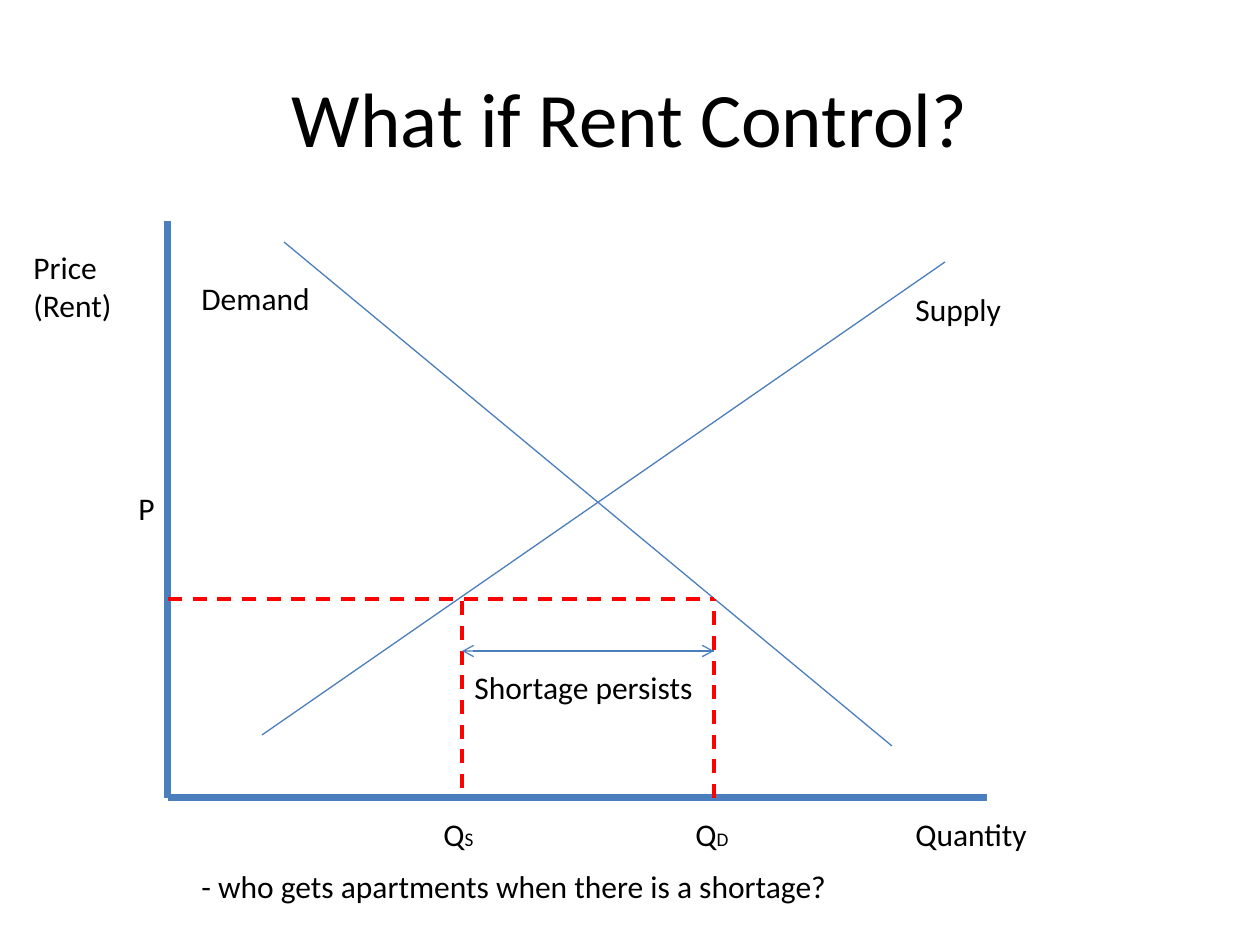
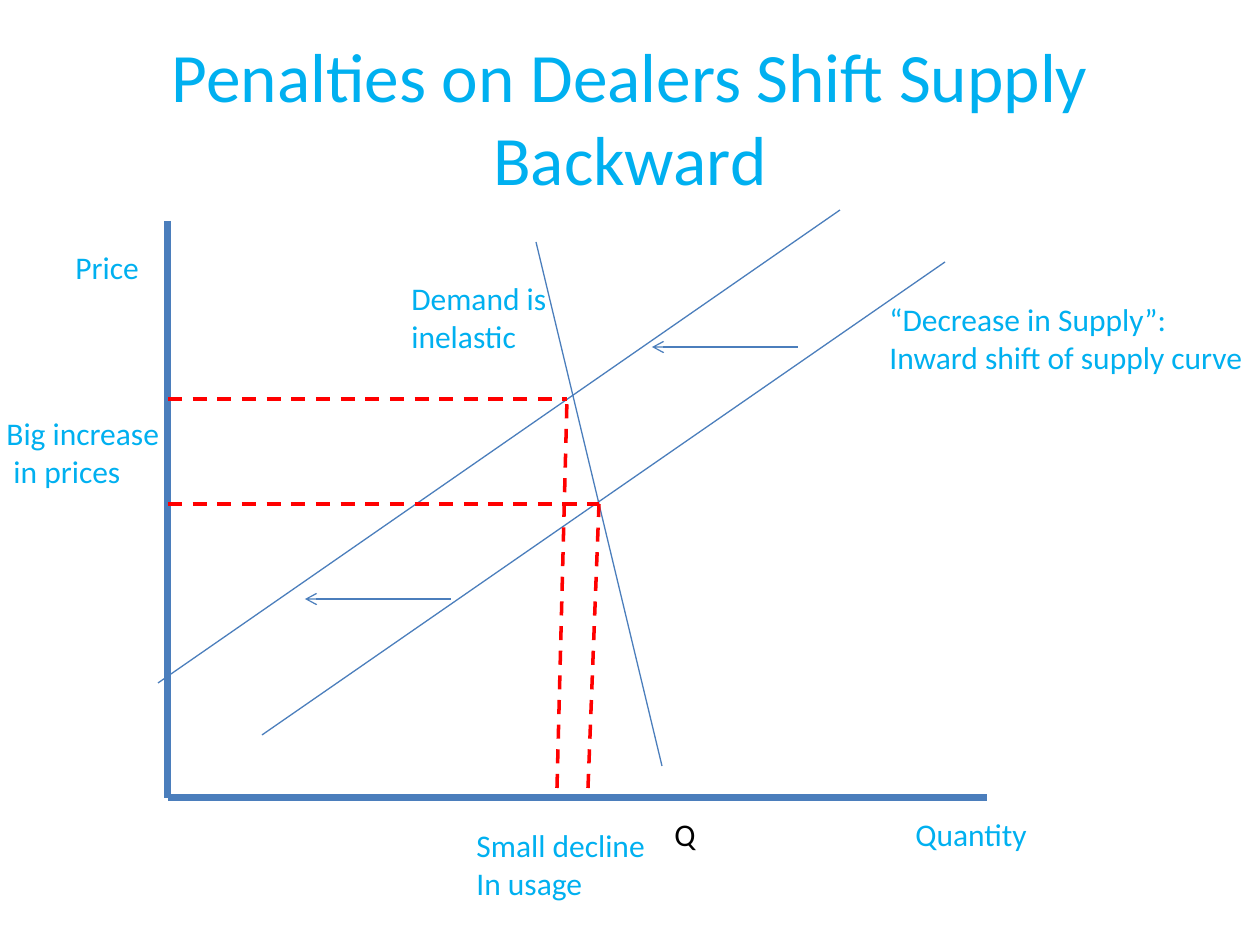
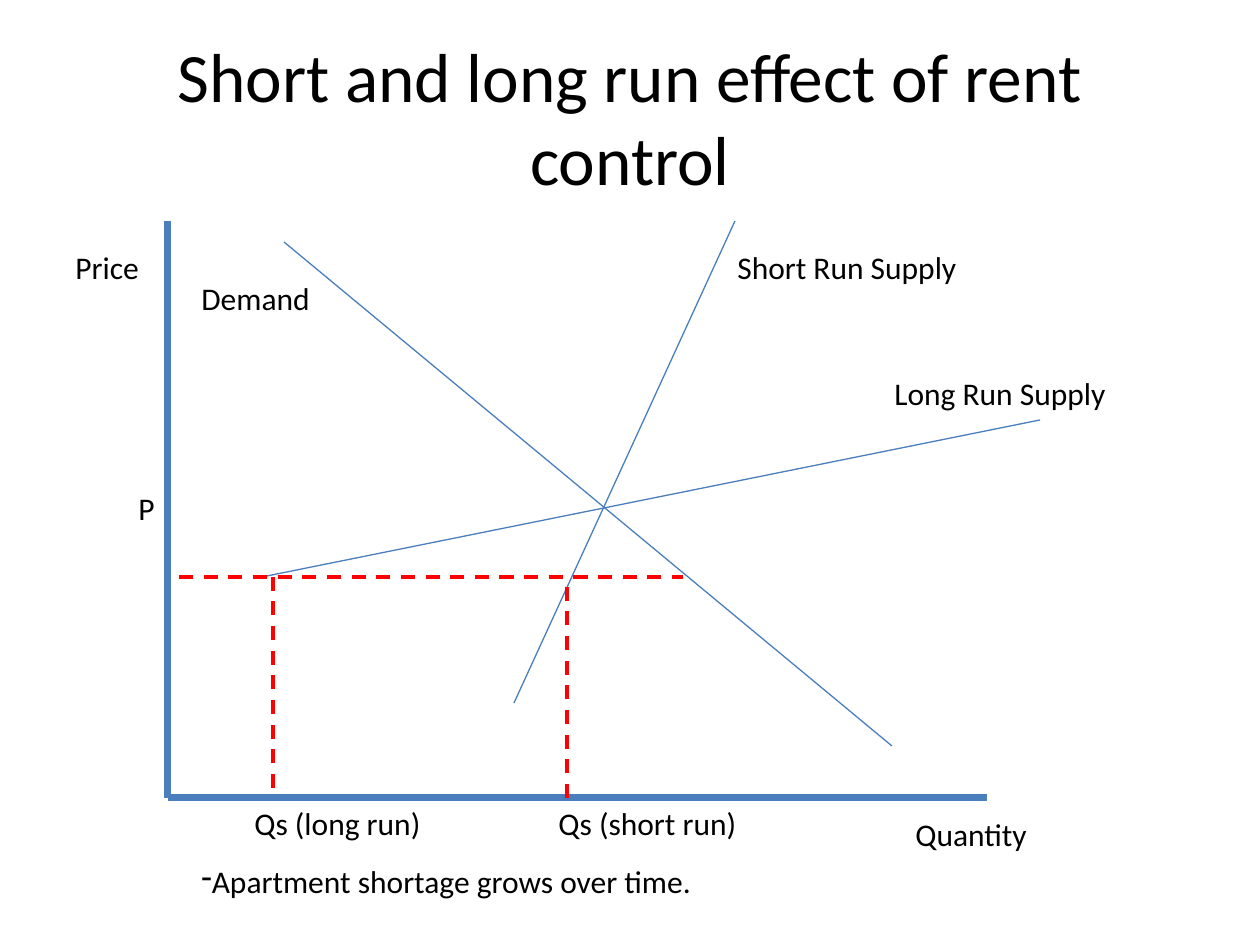
import dataclasses

import pptx
import pptx.dml.color
import pptx.enum.dml
import pptx.enum.shapes
import pptx.enum.text
import pptx.oxml
import pptx.oxml.ns
import pptx.util

EMU_PER_PIXEL = 914400 / 126


@dataclasses.dataclass(frozen=True)
class Theme:
    font: str = "Calibri"
    ink: str = "000000"
    accent: str = "00B0F0"
    curve: str = "4B7EBC"
    guide: str = "FF0000"
    title_size: float = 44
    long_title_size: float = 39.6
    label_size: float = 18
    subscript_size: float = 11
    axis_weight: float = 4
    curve_weight: float = 0.75
    guide_weight: float = 2


def px(pixels):
    return pptx.util.Emu(round(pixels * EMU_PER_PIXEL))


def rgb(color):
    return pptx.dml.color.RGBColor.from_string(color)


class Diagram:
    def __init__(self, deck, theme):
        self.deck = deck
        self.theme = theme
        self.slide = None
        self.ink = theme.ink

    def start(self, heading, size, ink):
        self.slide = self.deck.slides.add_slide(self.deck.slide_layouts[6])
        self.ink = ink
        frame = self.box(63, 38, 1134, 157)
        frame.word_wrap = True
        frame.vertical_anchor = pptx.enum.text.MSO_ANCHOR.MIDDLE
        frame.paragraphs[0].alignment = pptx.enum.text.PP_ALIGN.CENTER
        self.run(frame.paragraphs[0], heading, size)

    def box(self, left, top, width, height):
        return self.slide.shapes.add_textbox(
            px(left), px(top), px(width), px(height)).text_frame

    def run(self, paragraph, words, size, color=None):
        run = paragraph.add_run()
        run.text = words
        run.font.name = self.theme.font
        run.font.size = pptx.util.Pt(size)
        run.font.color.rgb = rgb(color or self.ink)

    def label(self, left, top, width, *rows, subscript="", color=None):
        frame = self.box(left, top, width, 12 + 38 * len(rows))
        frame.word_wrap = False
        frame.auto_size = pptx.enum.text.MSO_AUTO_SIZE.SHAPE_TO_FIT_TEXT
        for index, words in enumerate(rows):
            paragraph = frame.add_paragraph() if index else frame.paragraphs[0]
            self.run(paragraph, words, self.theme.label_size, color)
        if subscript:
            self.run(paragraph, subscript, self.theme.subscript_size, color)
        return frame

    def bullet(self, left, top, width, words):
        paragraph = self.label(left, top, width, words).paragraphs[0]
        properties = paragraph._p.get_or_add_pPr()
        properties.set("marL", "0")
        properties.set("indent", "0")
        mark = pptx.oxml.parse_xml(
            f'<a:buChar {pptx.oxml.ns.nsdecls("a")} char="-"/>')
        properties.append(mark)

    def line(self, start, end, color, weight):
        connector = self.slide.shapes.add_connector(
            pptx.enum.shapes.MSO_CONNECTOR.STRAIGHT,
            *(px(value) for value in (*start, *end)))
        connector.line.color.rgb = rgb(color)
        connector.line.width = pptx.util.Pt(weight)
        connector._element.spPr.append(pptx.oxml.parse_xml(
            f'<a:effectLst {pptx.oxml.ns.nsdecls("a")}/>'))
        return connector

    def axes(self):
        for end in ((168, 221), (987, 798)):
            self.line(end, (168, 798), self.theme.curve, self.theme.axis_weight)
        self.label(903, 809, 139, "Quantity")

    def curve(self, start, end):
        return self.line(start, end, self.theme.curve, self.theme.curve_weight)

    def guide(self, start, end):
        guide = self.line(start, end, self.theme.guide, self.theme.guide_weight)
        guide.line.dash_style = pptx.enum.dml.MSO_LINE.DASH

    def arrow(self, start, end):
        outline = self.curve(start, end).line._get_or_add_ln()
        outline.append(pptx.oxml.parse_xml(
            f'<a:tailEnd {pptx.oxml.ns.nsdecls("a")} type="arrow"/>'))

    def demand(self):
        self.curve((284, 242), (892, 746))
        self.label(189, 273, 135, "Demand")

    def supply(self):
        self.curve((262, 735), (945, 262))


def rent_control(diagram):
    theme = diagram.theme
    diagram.start("What if Rent Control?", theme.title_size, theme.ink)
    diagram.axes()
    diagram.demand()
    diagram.supply()
    diagram.label(903, 284, 112, "Supply")
    ceiling, supplied, demanded = 599, 462, 714
    diagram.guide((168, ceiling), (demanded, ceiling))
    diagram.guide((supplied, 788), (supplied, ceiling))
    diagram.guide((demanded, 798), (demanded, ceiling))
    diagram.label(126, 483, 42, "P")
    diagram.label(431, 809, 55, "Q", subscript="S")
    diagram.label(683, 809, 59, "Q", subscript="D")
    diagram.arrow((473, 651), (demanded, 651))
    diagram.arrow((demanded, 651), (supplied, 651))
    diagram.label(462, 662, 246, "Shortage persists")
    diagram.label(189, 861, 658,
                  "- who gets apartments when there is a shortage?")
    diagram.label(21, 242, 105, "Price ", "(Rent)")


def dealer_penalties(diagram):
    theme = diagram.theme
    diagram.start("Penalties on Dealers Shift Supply Backward",
                  theme.long_title_size, theme.accent)
    diagram.axes()
    diagram.curve((536, 242), (662, 766))
    diagram.supply()
    diagram.curve((158, 683), (840, 210))
    diagram.label(63, 242, 89, "Price")
    diagram.label(877, 294, 383, "“Decrease in Supply”:",
                  "Inward shift of supply curve")
    diagram.label(399, 273, 163, "Demand is", "inelastic")
    for price, quantity, foot in ((504, 599, 588), (399, 567, 557)):
        diagram.guide((168, price), (quantity, price))
        diagram.guide((foot, 788), (quantity, price))
    diagram.label(-6, 408, 180, "Big increase", " in prices")
    diagram.label(662, 809, 47, "Q", color=theme.ink)
    diagram.label(464, 820, 197, "Small decline", "In usage")
    for right, height in ((798, 347), (451, 599)):
        diagram.arrow((right, height), (right - 146, height))


def short_and_long_run(diagram):
    theme = diagram.theme
    diagram.start("Short and long run effect of rent control",
                  theme.long_title_size, theme.ink)
    diagram.axes()
    diagram.demand()
    diagram.curve((262, 577), (1040, 420))
    diagram.curve((514, 703), (735, 221))
    diagram.label(63, 242, 89, "Price")
    diagram.label(882, 368, 239, "Long Run Supply")
    diagram.label(725, 242, 255, "Short Run Supply")
    diagram.guide((179, 577), (683, 577))
    diagram.guide((567, 798), (567, 577))
    diagram.guide((273, 788), (273, 567))
    diagram.label(126, 483, 42, "P")
    diagram.label(546, 798, 205, "Qs (short run)")
    diagram.label(242, 798, 194, "Qs (long run)")
    diagram.bullet(189, 856, 527, "Apartment shortage grows over time. ")


presentation = pptx.Presentation()
presentation.slide_width = px(1260)
presentation.slide_height = px(945)
diagram = Diagram(presentation, Theme())
rent_control(diagram)
dealer_penalties(diagram)
short_and_long_run(diagram)
presentation.save("out.pptx")
